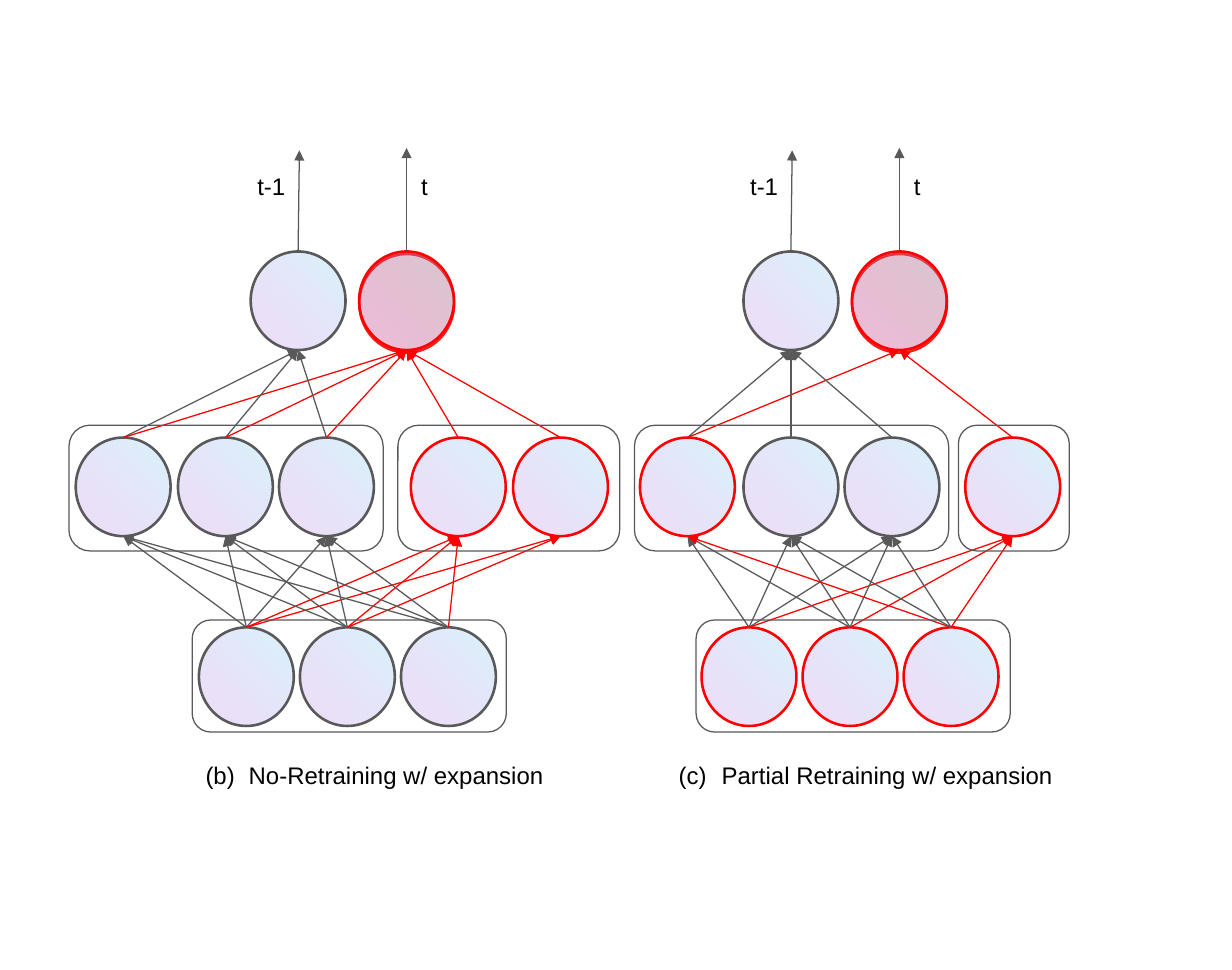
from dataclasses import dataclass
from lxml.etree import SubElement
from pptx import Presentation
from pptx.dml.color import RGBColor
from pptx.enum.shapes import MSO_CONNECTOR, MSO_SHAPE
from pptx.enum.text import MSO_AUTO_SIZE
from pptx.oxml.ns import qn
from pptx.util import Inches, Pt


@dataclass(frozen=True)
class Theme:
    gray: str = "595959"
    red: str = "FF0000"
    black: str = "000000"
    gradient: tuple = (("69D4F4", 26), ("9F39D5", 17))
    font: str = "Arial"
    text_size: int = 14
    thin: float = 0.75
    thick: float = 1.5


@dataclass(frozen=True)
class Panel:
    inputs: list
    hidden: list
    outputs: list
    input_colors: str
    hidden_colors: str
    input_links: list
    hidden_links: list
    frames: list
    caption: str
    caption_left: float
    caption_width: float
    number: int


NODE_WIDTH, NODE_HEIGHT = 0.77, 0.8
OUTPUT_Y, HIDDEN_Y, INPUT_Y = 2.44, 3.95, 5.49
HIDDEN_FRAME = (3.45, 1.02)
INPUT_FRAME = (5.03, 0.91)

PANELS = [
    Panel(
        inputs=[2, 2.82, 3.64],
        hidden=[1, 1.83, 2.65, 3.72, 4.55],
        outputs=[2.42, 3.3],
        input_colors="ggg",
        hidden_colors="gggrr",
        input_links=["gggrr", "gggrr", "gggr-"],
        hidden_links=["gr", "gr", "gr", "-r", "-r"],
        frames=[(0.56, 2.55, HIDDEN_FRAME), (3.23, 1.8, HIDDEN_FRAME), (1.56, 2.55, INPUT_FRAME)],
        caption="No-Retraining w/ expansion",
        caption_left=1.42,
        caption_width=3.17,
        number=2,
    ),
    Panel(
        inputs=[6.08, 6.9, 7.72],
        hidden=[5.58, 6.42, 7.24, 8.22],
        outputs=[6.42, 7.3],
        input_colors="rrr",
        hidden_colors="rggr",
        input_links=["gggr", "gggr", "rggr"],
        hidden_links=["gr", "g-", "g-", "-r"],
        frames=[(5.15, 2.55, HIDDEN_FRAME), (7.78, 0.9, HIDDEN_FRAME), (5.65, 2.55, INPUT_FRAME)],
        caption="Partial Retraining w/ expansion",
        caption_left=5.26,
        caption_width=3.43,
        number=3,
    ),
]


class NetworkSlide:
    def __init__(self, slide, theme):
        self.slide = slide
        self.theme = theme
        self.colors = {"g": theme.gray, "r": theme.red}

    def outline(self, shape, color, width):
        shape.line.color.rgb = RGBColor.from_string(color)
        shape.line.width = Pt(width)

    def node(self, x, y, code, shadow=False):
        shape = self.slide.shapes.add_shape(
            MSO_SHAPE.OVAL,
            Inches(x - NODE_HEIGHT / 2), Inches(y - NODE_WIDTH / 2),
            Inches(NODE_HEIGHT), Inches(NODE_WIDTH),
        )
        shape.rotation = 270
        shape.fill.gradient()
        shape.fill.gradient_angle = 135
        properties = shape._element.spPr
        for stop, position, (color, _) in zip(shape.fill.gradient_stops, (0, 1), self.theme.gradient):
            stop.position = position
            stop.color.rgb = RGBColor.from_string(color)
        for element, (_, alpha) in zip(properties.iter(qn("a:srgbClr")), self.theme.gradient):
            SubElement(element, qn("a:alpha"), val=str(alpha * 1000))
        self.outline(shape, self.colors[code], self.theme.thick)
        shape.shadow.inherit = False
        if shadow:
            effect = SubElement(
                properties.find(qn("a:effectLst")), qn("a:outerShdw"),
                blurRad="0", dist=str(Pt(1.5)), dir=str(85 * 60000), algn="bl", rotWithShape="0",
            )
            color = SubElement(effect, qn("a:srgbClr"), val=self.theme.red)
            SubElement(color, qn("a:alpha"), val="89000")

    def arrow(self, start, end, code):
        connector = self.slide.shapes.add_connector(
            MSO_CONNECTOR.STRAIGHT, *(Inches(value) for value in (*start, *end))
        )
        self.outline(connector, self.colors[code], self.theme.thin)
        SubElement(connector.line._get_or_add_ln(), qn("a:tailEnd"), type="triangle")
        SubElement(connector._element.spPr, qn("a:effectLst"))

    def links(self, sources, source_y, targets, target_y, rows):
        for source, row in zip(sources, rows):
            for target, code in zip(targets, row):
                if code != "-":
                    self.arrow(
                        (source, source_y - NODE_HEIGHT / 2),
                        (target, target_y + NODE_HEIGHT / 2),
                        code,
                    )

    def frame(self, left, width, band):
        top, height = band
        shape = self.slide.shapes.add_shape(
            MSO_SHAPE.ROUNDED_RECTANGLE, Inches(left), Inches(top), Inches(width), Inches(height)
        )
        shape.fill.background()
        shape.shadow.inherit = False
        self.outline(shape, self.theme.gray, self.theme.thin)

    def text(self, left, top, width, words, number=None):
        box = self.slide.shapes.add_textbox(Inches(left), Inches(top), Inches(width), Inches(0.44))
        frame = box.text_frame
        frame.word_wrap = True
        frame.auto_size = MSO_AUTO_SIZE.SHAPE_TO_FIT_TEXT
        frame.margin_left = frame.margin_right = Inches(0.1)
        frame.margin_top = frame.margin_bottom = Inches(0.1)
        paragraph = frame.paragraphs[0]
        paragraph.text = words
        if number:
            properties = paragraph._p.get_or_add_pPr()
            properties.set("marL", str(Inches(0.5)))
            properties.set("indent", str(Inches(-0.35)))
            bullet_color = SubElement(properties, qn("a:buClr"))
            SubElement(bullet_color, qn("a:srgbClr"), val=self.theme.black)
            SubElement(properties, qn("a:buAutoNum"), type="alphaLcParenBoth", startAt=str(number))
        paragraph.font.name = self.theme.font
        paragraph.font.size = Pt(self.theme.text_size)
        paragraph.font.color.rgb = RGBColor.from_string(self.theme.black)

    def panel(self, panel):
        for x, code in zip(panel.inputs, panel.input_colors):
            self.node(x, INPUT_Y, code)
        for x, code in zip(panel.hidden, panel.hidden_colors):
            self.node(x, HIDDEN_Y, code)
        previous, current = panel.outputs
        self.node(previous, OUTPUT_Y, "g")
        self.node(current, OUTPUT_Y, "r", shadow=True)
        self.links(panel.inputs, INPUT_Y, panel.hidden, HIDDEN_Y, panel.input_links)
        self.links(panel.hidden, HIDDEN_Y, panel.outputs, OUTPUT_Y, panel.hidden_links)
        output_top = OUTPUT_Y - NODE_HEIGHT / 2
        self.arrow((previous, output_top), (previous + 0.01, 1.22), "g")
        self.arrow((current, output_top), (current, 1.2), "g")
        for left, width, band in panel.frames:
            self.frame(left, width, band)
        self.text(panel.caption_left, 6.07, panel.caption_width, panel.caption, panel.number)
        self.text(previous - 0.43, 1.29, 0.49, "t-1")
        self.text(current + 0.02, 1.29, 0.23, "t")


def main():
    presentation = Presentation()
    presentation.slide_width = Inches(10)
    presentation.slide_height = Inches(7.87)
    slide = presentation.slides.add_slide(presentation.slide_layouts[6])
    network = NetworkSlide(slide, Theme())
    for panel in PANELS:
        network.panel(panel)
    presentation.save("out.pptx")


if __name__ == "__main__":
    main()
